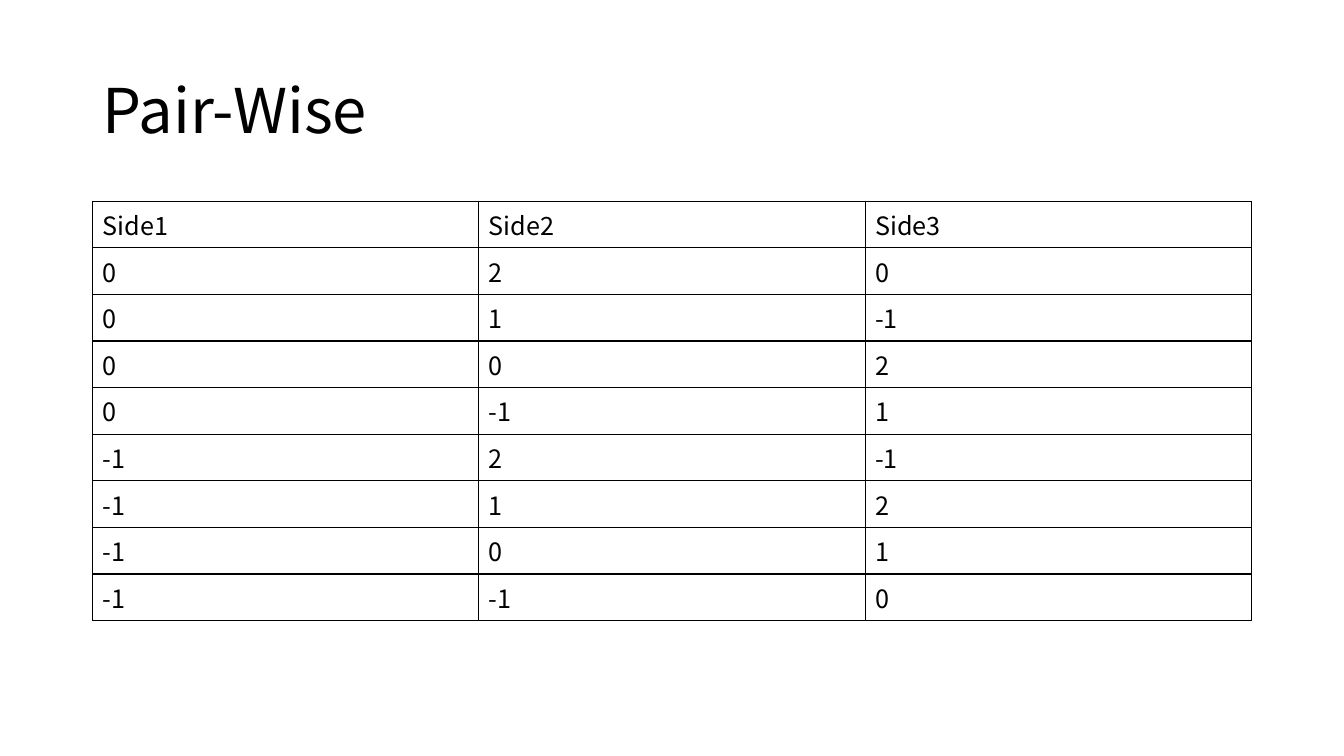
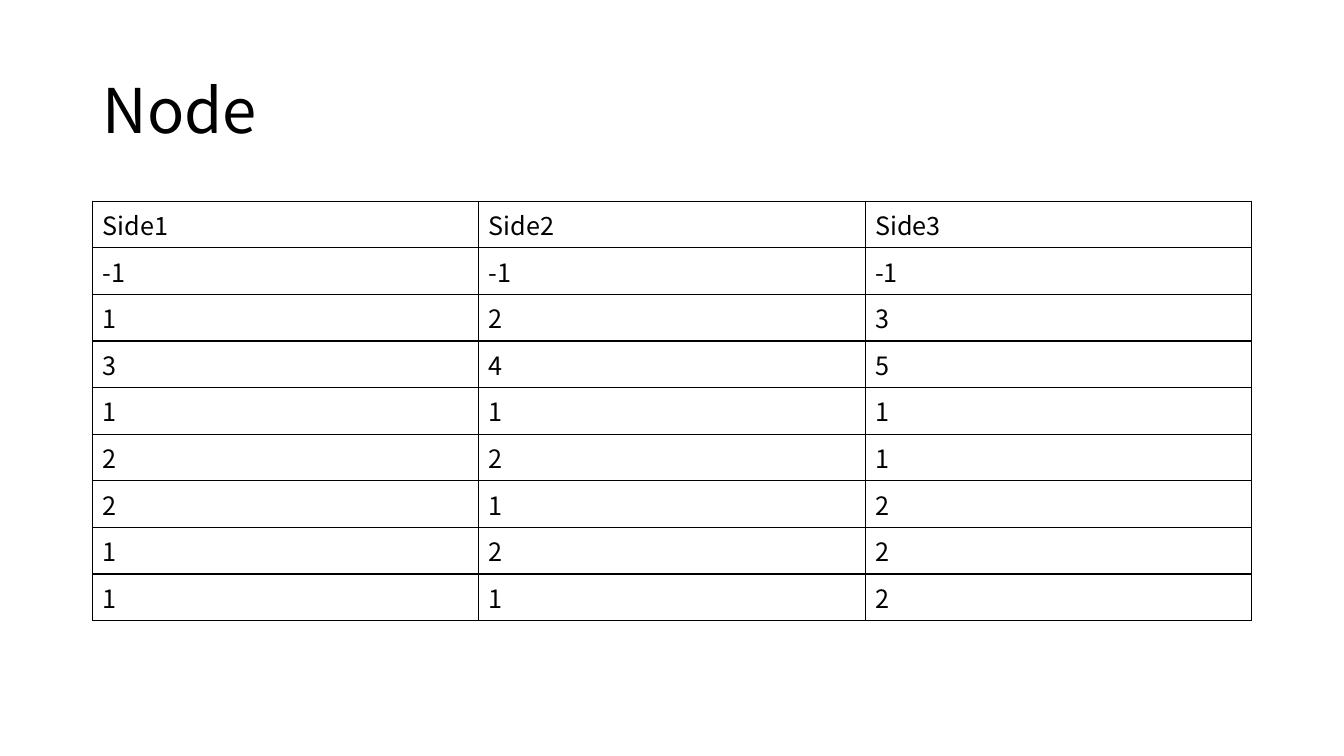
from lxml import etree
from pptx import Presentation
from pptx.dml.color import RGBColor
from pptx.enum.text import MSO_ANCHOR, MSO_AUTO_SIZE, PP_ALIGN
from pptx.oxml.ns import qn
from pptx.util import Cm, Pt

LEFT = PP_ALIGN.LEFT
MIDDLE = MSO_ANCHOR.MIDDLE
NO_FIT = MSO_AUTO_SIZE.NONE
BLACK = RGBColor(0, 0, 0)
FONT = "Noto Sans CJK SC"
EDGE = Cm(2.33)
WIDTH = Cm(29.21)
ROW = Cm(1.03)
HEAD = ("Side1", "Side2", "Side3")

TABLES = {
    "Pair-Wise": [
        (0, 2, 0), (0, 1, -1), (0, 0, 2), (0, -1, 1),
        (-1, 2, -1), (-1, 1, 2), (-1, 0, 1), (-1, -1, 0),
    ],
    "Node": [
        (-1, -1, -1), (1, 2, 3), (3, 4, 5), (1, 1, 1),
        (2, 2, 1), (2, 1, 2), (1, 2, 2), (1, 1, 2),
    ],
}


def add_text(para, text, size):
    run = para.add_run()
    run.text = text
    run.font.name = FONT
    run.font.size = Pt(size)
    run.font.color.rgb = BLACK


def add_border(cell):
    props = cell._tc.get_or_add_tcPr()
    for side in ("a:lnL", "a:lnR", "a:lnT", "a:lnB"):
        line = etree.SubElement(props, qn(side), w=str(Pt(1)))
        fill = etree.SubElement(line, qn("a:solidFill"))
        etree.SubElement(fill, qn("a:srgbClr"), val=str(BLACK))


deck = Presentation()
deck.slide_width = Cm(33.87)
deck.slide_height = Cm(19.05)
layout = deck.slide_layouts[5]

for name, data in TABLES.items():
    slide = deck.slides.add_slide(layout)

    title = slide.shapes.title
    title.left, title.top = EDGE, Cm(1.01)
    title.width, title.height = WIDTH, Cm(3.68)
    frame = title.text_frame
    frame.auto_size = NO_FIT
    frame.vertical_anchor = MIDDLE
    para = frame.paragraphs[0]
    para.alignment = LEFT
    para.line_spacing = 0.9
    add_text(para, name, 44)

    rows = [HEAD, *data]
    frame = slide.shapes.add_table(
        len(rows), len(HEAD), EDGE, Cm(5.07), WIDTH, ROW * len(rows)
    )
    table = frame.table
    table.first_row = False
    table.horz_banding = False
    for r, row in enumerate(rows):
        table.rows[r].height = ROW
        for c, value in enumerate(row):
            cell = table.cell(r, c)
            add_border(cell)
            cell.fill.background()
            add_text(cell.text_frame.paragraphs[0], str(value), 18)

deck.save("out.pptx")
